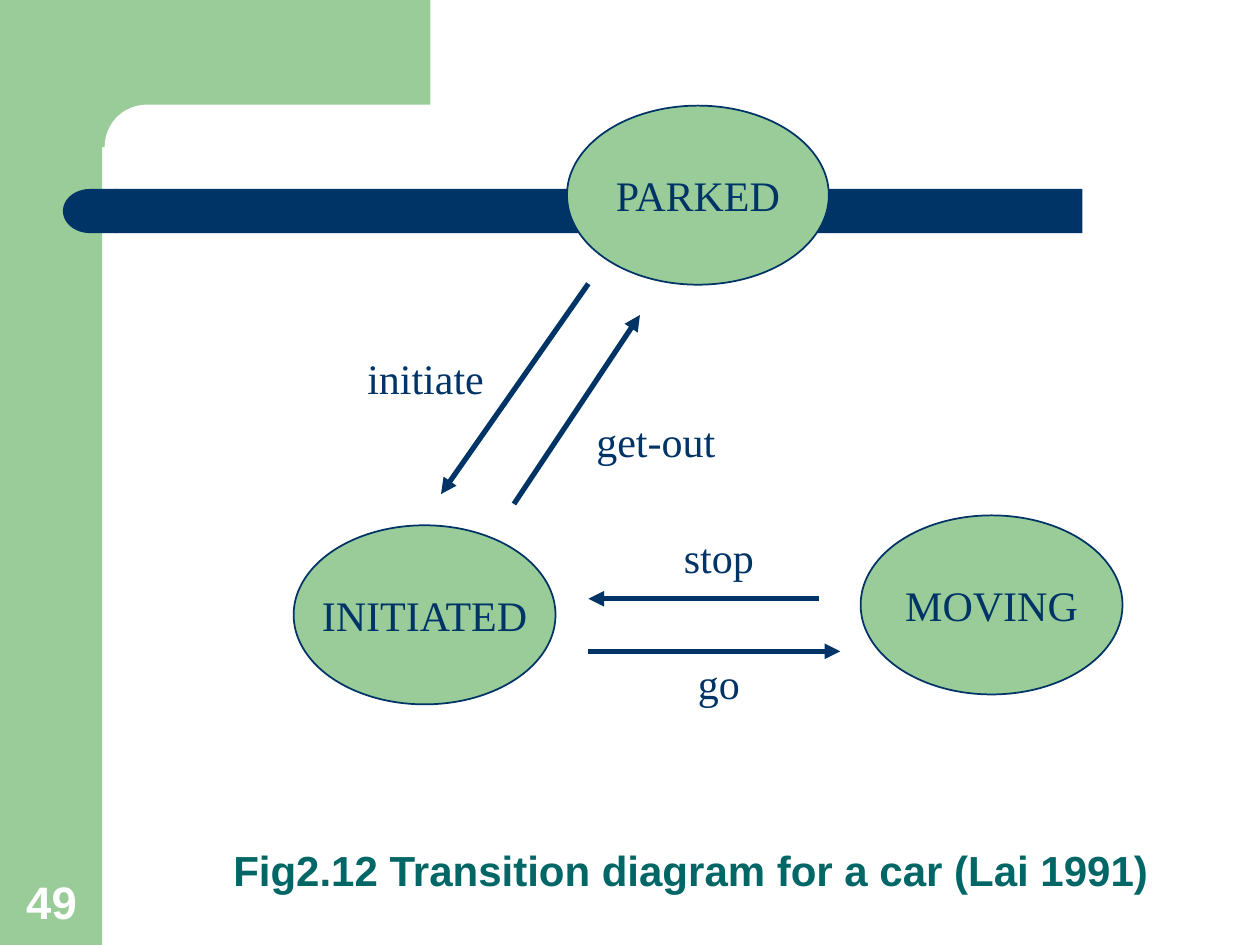
import pptx
import pptx.util
import pptx.dml.color
import pptx.enum.shapes
import pptx.enum.text
import pptx.oxml.ns
import lxml.etree

Cm = pptx.util.Cm
Pt = pptx.util.Pt
SHAPE = pptx.enum.shapes.MSO_SHAPE
ALIGN = pptx.enum.text.PP_ALIGN
ANCHOR = pptx.enum.text.MSO_ANCHOR
qn = pptx.oxml.ns.qn

COLORS = {"green": "99CC99", "navy": "003366", "teal": "006666", "white": "FFFFFF"}
SERIF = "Times New Roman"


def rgb(name):
    return pptx.dml.color.RGBColor.from_string(COLORS[name])


def write(sp, text, font=SERIF, size=24, color="navy", bold=False,
          align=ALIGN.CENTER, anchor=ANCHOR.TOP, wrap=True, spacing=None):
    tf = sp.text_frame
    tf.word_wrap = wrap
    tf.auto_size = pptx.enum.text.MSO_AUTO_SIZE.NONE
    tf.vertical_anchor = anchor
    p = tf.paragraphs[0]
    p.alignment = align
    if spacing:
        p.line_spacing = spacing
    r = p.add_run()
    r.text = text
    r.font.name = font
    r.font.size = Pt(size)
    r.font.bold = bold
    r.font.color.rgb = rgb(color)


def add_block(slide, kind, x, y, w, h, fill, adj=None, line=None):
    sp = slide.shapes.add_shape(kind, Cm(x), Cm(y), Cm(w), Cm(h))
    sp.shadow.inherit = False
    sp.fill.solid()
    sp.fill.fore_color.rgb = rgb(fill)
    if line:
        sp.line.color.rgb = rgb(line)
        sp.line.width = Pt(1)
    else:
        sp.line.fill.background()
    if adj is not None:
        sp.adjustments[0] = adj
    return sp


def add_state(slide, text, x, y):
    sp = add_block(slide, SHAPE.OVAL, x, y, 5.28, 3.61, "green", line="navy")
    write(sp, text, anchor=ANCHOR.MIDDLE, wrap=False)


def add_text(slide, text, x, y, w, h, **fmt):
    write(slide.shapes.add_textbox(Cm(x), Cm(y), Cm(w), Cm(h)), text, **fmt)


def add_arrow(slide, x1, y1, x2, y2):
    cn = slide.shapes.add_connector(pptx.enum.shapes.MSO_CONNECTOR.STRAIGHT,
                                    Cm(x1), Cm(y1), Cm(x2), Cm(y2))
    cn.line.color.rgb = rgb("navy")
    cn.line.width = Pt(3)
    lxml.etree.SubElement(cn.line._get_or_add_ln(), qn("a:tailEnd"), type="triangle")
    lxml.etree.SubElement(cn._element.spPr, qn("a:effectLst"))


def add_frame(slide):
    add_block(slide, SHAPE.RECTANGLE, 0, 0, 2.06, 19.05, "green")
    add_block(slide, SHAPE.RECTANGLE, 1.85, 0, 6.83, 2.97, "green")
    add_block(slide, SHAPE.ROUNDED_RECTANGLE, 2.11, 2.11, 14.17, 1.7, "white", adj=0.5)
    add_block(slide, SHAPE.ROUNDED_RECTANGLE, 2.34, 3.81, 19.48, 0.89, "navy", adj=0)
    cap = add_block(slide, SHAPE.FLOWCHART_DELAY, 1.27, 3.81, 1.09, 0.89, "navy")
    cap._element.spPr.get_or_add_xfrm().set("flipH", "1")


def main():
    prs = pptx.Presentation()
    prs.slide_width, prs.slide_height = Cm(25.4), Cm(19.05)
    slide = prs.slides.add_slide(prs.slide_layouts[5])

    # Side panel, banner and page number
    add_frame(slide)
    add_text(slide, "49", 0.28, 17.48, 1.63, 1.37, font="Arial", size=26,
             color="white", bold=True, align=ALIGN.LEFT, anchor=ANCHOR.BOTTOM)

    # States
    for text, x, y in [("PARKED", 11.43, 2.13), ("INITIATED", 5.92, 10.59),
                       ("MOVING", 17.35, 10.39)]:
        add_state(slide, text, x, y)

    # Caption
    title = slide.shapes.title
    title.left, title.top, title.width, title.height = Cm(4.45), Cm(15.44), Cm(20.12), Cm(2.74)
    write(title, "Fig2.12 Transition diagram for a car (Lai 1991)", font="Arial",
          color="teal", bold=True, align=ALIGN.LEFT, anchor=ANCHOR.BOTTOM, spacing=0.9)

    # Transitions: label, label position, arrow ends
    for text, x, y, ends in [
        ("initiate", 6.99, 6.99, (11.86, 5.72, 8.89, 9.96)),
        ("get-out", 11.63, 8.26, (10.36, 10.16, 12.9, 6.35)),
        ("stop", 12.9, 10.59, (16.51, 12.07, 11.86, 12.07)),
        ("go", 12.9, 13.13, (11.86, 13.13, 16.94, 13.13)),
    ]:
        add_arrow(slide, *ends)
        add_text(slide, text, x, y, 3.18, 1.27)

    prs.save("out.pptx")


if __name__ == "__main__":
    main()
